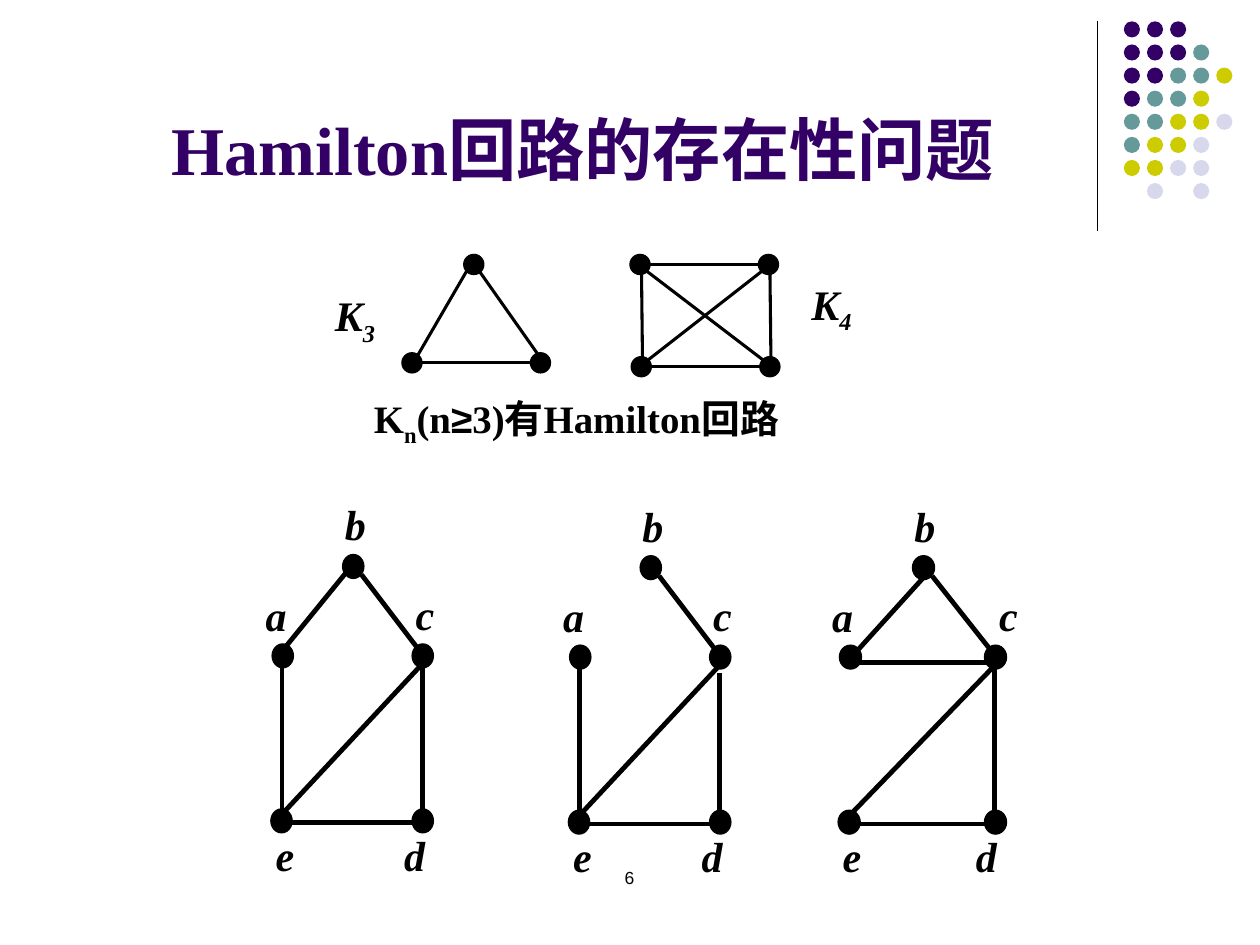
from lxml import etree
from pptx import Presentation
from pptx.dml.color import RGBColor
from pptx.enum import shapes, text
from pptx.oxml.ns import qn
from pptx.util import Pt

COLORS = {"black": "000000", "P": "330066", "T": "669999", "Y": "CCCC00", "L": "D8D8EC"}
SERIF, SANS = "Times New Roman", "Arial"
DOT_ROWS = ["PPP", "PPPT", "PPTTY", "PTTY", "TTYYL", "TYYL", "YYLL", " L L"]

# Five-vertex graph, measured from the centre of vertex a
NODES = {"a": (0, 0), "b": (40.3, -51.1), "c": (80, 0), "d": (80, 94.3), "e": (-0.7, 94.3)}
EDGES = {
    "ab": (1.8, -5.4, 36.4, -47.9),
    "bc": (45, -46.4, 79.6, -1),
    "ce": (79.6, 4.7, -0.4, 90.4),
    "cd": (79.6, 4.7, 79.6, 89.6),
    "de": (79.6, 95.4, -0.4, 95.4),
    "ae": (-0.4, 4.7, -0.4, 89.6),
}
LABELS = {"a": (-16.9, -41.4), "b": (28.4, -93.2), "c": (68.8, -42.1),
          "d": (62.3, 95.4), "e": (-11.2, 95.4)}

# Complete graphs: top-left corners of the vertices, then edges
K3_NODES = [(229.7, 201.6), (303.1, 201.6), (265, 145.4)]
K3_EDGES = [(241.2, 207.4, 303.1, 207.4), (272.2, 145.4, 238.3, 203.8),
            (274.3, 155.5, 310.3, 206.6)]
K4_NODES = [(360, 145.4), (433.4, 145.4), (360.7, 203.8), (434.2, 203.8)]
K4_EDGES = [(371.5, 151.2, 433.4, 151.2), (436.3, 205.9, 369.4, 154.8),
            (372.2, 209.5, 434.2, 209.5), (440.6, 209.5, 439.9, 147.6),
            (367.2, 211, 366.5, 148.3), (370.1, 205.9, 435.6, 154.8)]


def rgb(name):
    return RGBColor.from_string(COLORS[name])


def style(font, size, name=SERIF, color="black", bold=True, italic=False):
    font.size, font.name, font.bold, font.italic = Pt(size), name, bold, italic
    font.color.rgb = rgb(color)


def add_line(s, x1, y1, x2, y2, width):
    line = s.shapes.add_connector(shapes.MSO_CONNECTOR.STRAIGHT, Pt(x1), Pt(y1), Pt(x2), Pt(y2))
    line.line.color.rgb = rgb("black")
    line.line.width = Pt(width)
    etree.SubElement(line._element.spPr, qn("a:effectLst"))


def add_dot(s, x, y, w, h, color="black", outline=True,
            kind=shapes.MSO_SHAPE.OVAL):
    sp = s.shapes.add_shape(kind, Pt(x), Pt(y), Pt(w), Pt(h))
    sp.shadow.inherit = False
    sp.fill.solid()
    sp.fill.fore_color.rgb = rgb(color)
    if outline:
        sp.line.color.rgb = rgb(color)
        sp.line.width = Pt(0.75)
    else:
        sp.line.fill.background()


def add_text(s, x, y, w, h, content, size, align=None, **look):
    sp = s.shapes.add_textbox(Pt(x), Pt(y), Pt(w), Pt(h))
    tf = sp.text_frame
    tf.word_wrap = True
    p = tf.paragraphs[0]
    p.text = content
    p.alignment = align
    style(p.font, size, **look)


def add_runs(p, parts, size, italic=False):
    """Each part is (text, font name, is subscript)."""
    for content, name, subscript in parts:
        r = p.add_run()
        r.text = content
        style(r.font, size, name, italic=italic)
        if subscript:
            r._r.get_or_add_rPr().set("baseline", "-25000")


def add_title(s):
    title = s.shapes.title
    title.left, title.top, title.width, title.height = Pt(36), Pt(9.4), Pt(594), Pt(102.2)
    tf = title.text_frame
    tf.auto_size = text.MSO_AUTO_SIZE.NONE
    tf.vertical_anchor = text.MSO_ANCHOR.BOTTOM
    p = tf.paragraphs[0]
    p.text = "Hamilton回路的存在性问题"
    p.alignment = text.PP_ALIGN.CENTER
    style(p.font, 39, color="P")


def add_dot_pattern(s):
    add_line(s, 627.1, 12.2, 627.1, 131.8, 0.75)
    for row, keys in enumerate(DOT_ROWS):
        for col, key in enumerate(keys):
            if key != " ":
                add_dot(s, 642.2 + 13.2 * col, 12.2 + 13.2 * row, 9.2, 9.2, key, False)


def add_statement(s):
    sp = s.shapes.add_textbox(Pt(206.6), Pt(218.9), Pt(283.7), Pt(51.1))
    sp.text_frame.word_wrap = True
    p = sp.text_frame.paragraphs[0]
    p.line_spacing = 1.1
    add_runs(p, [("K", SERIF, False), ("n", SERIF, True), ("(n", SERIF, False),
                 ("≥", SANS, False), ("3)有Hamilton回路", SERIF, False)], 22.2)


def add_complete_graph(s, order, nodes, edges, label_x, label_y):
    for edge in edges:
        add_line(s, *edge, 1.75)
    for x, y in nodes:
        add_dot(s, x, y, 11.5, 11.5, kind=shapes.MSO_SHAPE.FLOWCHART_CONNECTOR)
    sp = s.shapes.add_shape(shapes.MSO_SHAPE.RECTANGULAR_CALLOUT,
                            Pt(label_x), Pt(label_y), Pt(56.9), Pt(39.6))
    sp.adjustments[0], sp.adjustments[1] = -0.21, 0.62
    sp.shadow.inherit = False
    sp.fill.background()
    sp.line.fill.background()
    tf = sp.text_frame
    tf.word_wrap = False
    tf.vertical_anchor = text.MSO_ANCHOR.TOP
    p = tf.paragraphs[0]
    p.alignment = text.PP_ALIGN.LEFT
    add_runs(p, [("K", SERIF, False), (order, SERIF, True)], 24, italic=True)


def add_graph(s, x0, y0, names, scale=1, edges=None, labels=None):
    """Draw the named edges; edges and labels replace standard places."""
    places = {**EDGES, **(edges or {})}
    for name in names:
        x1, y1, x2, y2 = places[name]
        add_line(s, x0 + scale * x1, y0 + y1, x0 + scale * x2, y0 + y2, 2.75)
    w, h = 12.2 * scale, 13.7
    for x, y in NODES.values():
        add_dot(s, x0 + scale * x - w / 2, y0 + y - h / 2, w, h)
    for name, (x, y) in {**LABELS, **(labels or {})}.items():
        add_text(s, x0 + scale * x, y0 + y, 28.1 * scale, 36, name, 24, italic=True)


def main():
    prs = Presentation()
    prs.slide_width, prs.slide_height = Pt(720), Pt(540)
    s = prs.slides.add_slide(prs.slide_layouts[5])

    # Heading and decoration
    add_dot_pattern(s)
    add_title(s)

    # Complete graphs
    add_complete_graph(s, "3", K3_NODES, K3_EDGES, 184.3, 162)
    add_complete_graph(s, "4", K4_NODES, K4_EDGES, 456.5, 155.5)
    add_statement(s)

    # Three graphs on the vertices a to e
    add_graph(s, 161.6, 374.8, ["ab", "bc", "ce", "cd", "de", "ae"])
    add_graph(s, 331.6, 375.5, ["bc", "ce", "cd", "de", "ae"],
              edges={"cd": (79.6, 9, 79.6, 94)})
    add_graph(s, 486, 375.5, ["ab", "bc", "ac", "ce", "cd", "de"], scale=1.036,
              edges={"ab": (1.4, -1, 42.4, -47.9), "ac": (-1.4, 3.2, 75.8, 3.2)},
              labels={"c": (75.1, -42.1)})

    # Page number
    add_text(s, 275.8, 491.8, 167.8, 36, "6", 10, text.PP_ALIGN.CENTER,
             name=SANS, bold=False)
    prs.save("out.pptx")


if __name__ == "__main__":
    main()
